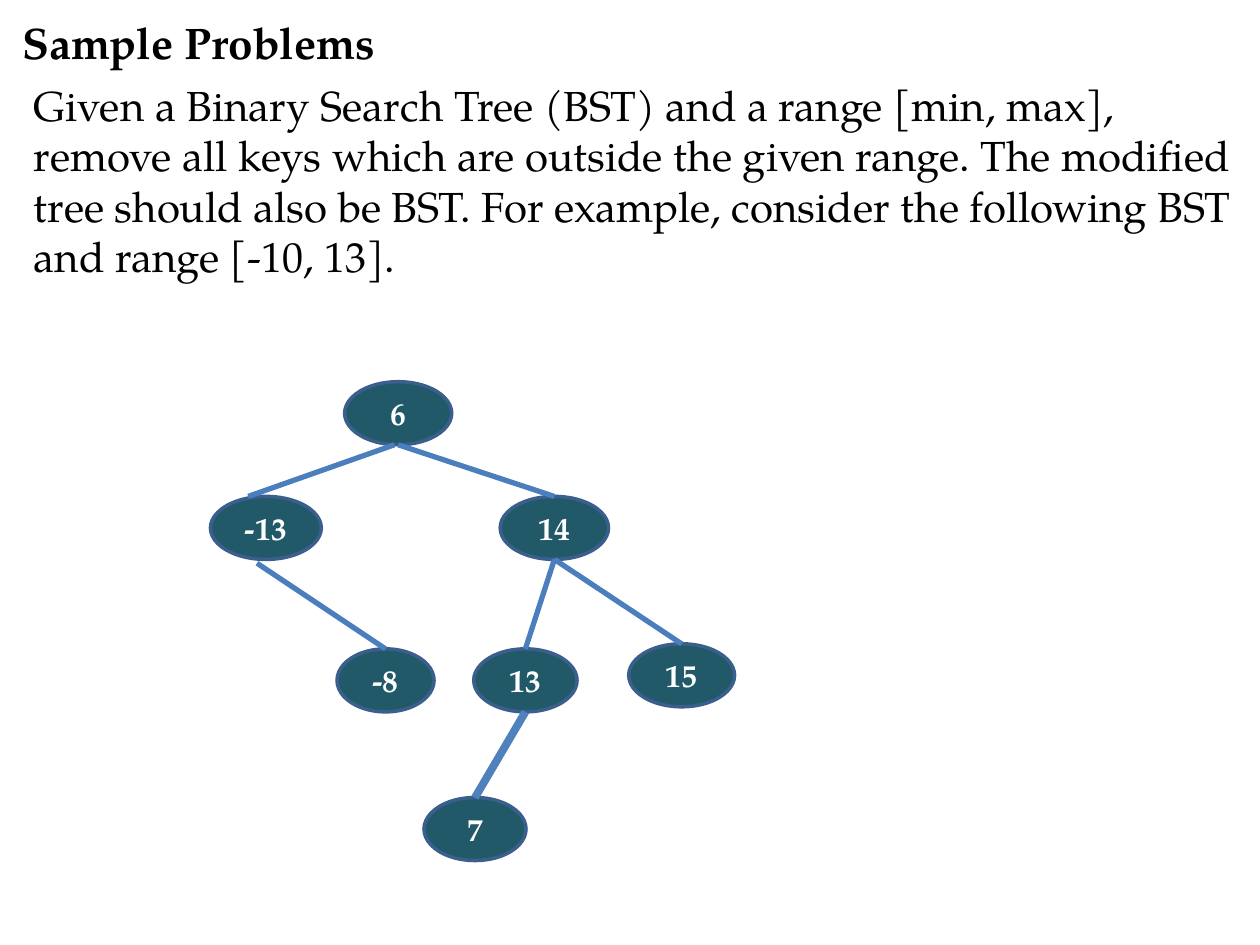
from collections import namedtuple

from lxml.etree import SubElement
from pptx import Presentation
from pptx.dml.color import RGBColor
from pptx.enum.shapes import MSO_CONNECTOR as Link, MSO_SHAPE as Shape
from pptx.enum.text import MSO_ANCHOR as Anchor, MSO_AUTO_SIZE as Fit, PP_ALIGN as Align
from pptx.oxml.ns import qn
from pptx.util import Inches, Pt

FONT = "TeX Gyre Pagella"
BLACK = RGBColor(0, 0, 0)
WHITE = RGBColor(255, 255, 255)
TEAL = RGBColor(0x21, 0x59, 0x68)
OUTLINE = RGBColor(0x3A, 0x5F, 0x8C)
EDGE = RGBColor(0x4B, 0x7E, 0xBC)
BRIGHT_EDGE = RGBColor(0x4F, 0x81, 0xBD)

Box = namedtuple("Box", "left top width height")
Node = namedtuple("Node", "center top width")
Edge = namedtuple("Edge", "parent child start_shift drop end_shift color weight",
                  defaults=(0, 0, 0, EDGE, 3))

PROBLEM = (
    "Given a Binary Search Tree (BST) and a range [min, max], remove all keys "
    "which are outside the given range. The modified tree should also be BST. "
    "For example, consider the following BST and range [-10, 13]."
)
NODE_HEIGHT = 0.5
NODES = {
    "6": Node(1.49, 0, 0.85),
    "-13": Node(0.44, 0.91, 0.88),
    "14": Node(2.73, 0.91, 0.86),
    "-8": Node(1.39, 2.12, 0.77),
    "15": Node(3.74, 2.08, 0.84),
    "13": Node(2.5, 2.12, 0.82),
    "7": Node(2.1, 3.3, 0.81),
}
EDGES = [
    Edge("6", "14"),
    Edge("14", "15"),
    Edge("-13", "-8", start_shift=-0.07, drop=0.03),
    Edge("6", "-13", start_shift=-0.03, end_shift=-0.14),
    Edge("14", "13"),
    Edge("13", "7", color=BRIGHT_EDGE, weight=4.5),
]


def style(para, size, color, bold, align):
    """Set the font and alignment of a paragraph."""
    para.alignment = align
    font = para.font
    font.name, font.size, font.bold = FONT, Pt(size), bold
    font.color.rgb = color


def add_heading(page, box):
    """Place the slide title in its box."""
    title = page.shapes.title
    title.left, title.top, title.width, title.height = map(Inches, box)
    frame = title.text_frame
    frame.text = "Sample Problems"
    frame.vertical_anchor = Anchor.MIDDLE
    frame.auto_size = Fit.NONE
    style(frame.paragraphs[0], 25.2, BLACK, True, Align.LEFT)


def add_problem(page, box):
    """Place the problem statement in its box."""
    frame = page.shapes.add_textbox(*map(Inches, box)).text_frame
    frame.word_wrap = True
    frame.text = PROBLEM
    style(frame.paragraphs[0], 24, BLACK, False, Align.LEFT)


def add_node(page, box, key, node):
    """Draw one key of the tree as an ellipse."""
    oval = page.shapes.add_shape(
        Shape.OVAL, Inches(box.left + node.center - node.width / 2),
        Inches(box.top + node.top), Inches(node.width), Inches(NODE_HEIGHT))
    oval.shadow.inherit = False
    oval.fill.solid()
    oval.fill.fore_color.rgb = TEAL
    oval.line.color.rgb = OUTLINE
    oval.line.width = Pt(2)
    frame = oval.text_frame
    frame.text = key
    frame.vertical_anchor = Anchor.MIDDLE
    style(frame.paragraphs[0], 18, WHITE, True, Align.CENTER)


def add_edge(page, box, edge):
    """Join the bottom of a parent to the top of its child."""
    parent, child = NODES[edge.parent], NODES[edge.child]
    line = page.shapes.add_connector(
        Link.STRAIGHT,
        Inches(box.left + parent.center + edge.start_shift),
        Inches(box.top + parent.top + NODE_HEIGHT + edge.drop),
        Inches(box.left + child.center + edge.end_shift),
        Inches(box.top + child.top))
    line.line.color.rgb = edge.color
    line.line.width = Pt(edge.weight)
    SubElement(line._element.spPr, qn("a:effectLst"))


def add_tree(page, box):
    """Draw the search tree from the top left corner of its box."""
    for key, node in NODES.items():
        add_node(page, box, key, node)
    for edge in EDGES:
        add_edge(page, box, edge)


def main():
    """Build the slide and save it."""
    deck = Presentation()
    deck.slide_width, deck.slide_height = Inches(10), Inches(7.5)
    page = deck.slides.add_slide(deck.slide_layouts[5])
    add_heading(page, Box(0.08, 0.08, 9.67, 0.5))
    add_problem(page, Box(0.17, 0.58, 9.75, 6.83))
    add_tree(page, Box(1.67, 3.03, 4.16, 3.8))
    deck.save("out.pptx")


if __name__ == "__main__":
    main()
